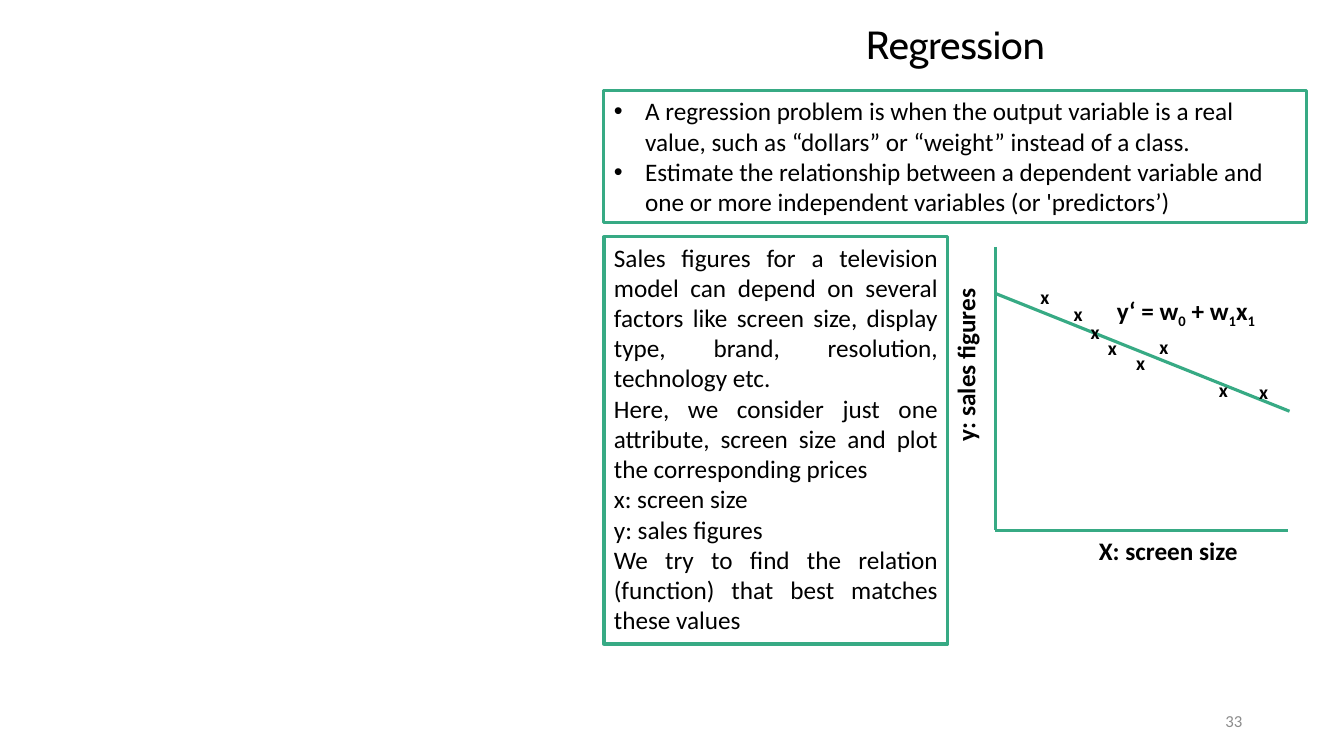
import dataclasses

import pptx
import pptx.dml.color
import pptx.enum.shapes
import pptx.enum.text
import pptx.oxml.xmlchemy
import pptx.util
from pptx.oxml.ns import qn

Inches = pptx.util.Inches
Align = pptx.enum.text.PP_ALIGN
Anchor = pptx.enum.text.MSO_ANCHOR


@dataclasses.dataclass(frozen=True)
class Theme:
    """Colours, fonts and sizes of the slide."""
    accent: str = "37AA84"
    ink: str = "000000"
    muted: str = "8C8C8C"
    heading_font: str = "Cabin"
    body_font: str = "Calibri"
    heading: int = 28
    body: int = 18
    mark: int = 14
    footer: int = 12
    line: float = 2.25


THEME = Theme()

BULLETS = [
    "A regression problem is when the output variable is a real value, such as “dollars” or “weight” instead of a class.",
    "Estimate the relationship between a dependent variable and one or more independent variables (or 'predictors’)",
]
EXAMPLE = [
    ("Sales figures for a television model can depend on several factors like screen size, "
     "display type, brand, resolution, technology etc. ", Align.JUSTIFY),
    ("Here, we consider just one attribute, screen size and plot the corresponding prices ", Align.JUSTIFY),
    ("x: screen size", Align.LEFT),
    ("y: sales figures", Align.LEFT),
    ("We try to find the relation (function) that best matches these values", Align.JUSTIFY),
]
FORMULA = [("y‘ = w", False), ("0", True), (" + w", False), ("1", True), ("x", False), ("1", True)]
MARKS = [(0.35, 0.33), (0.68, 0.5), (0.85, 0.67), (1.02, 0.83),
         (1.53, 0.82), (1.3, 0.98), (2.12, 1.25), (2.52, 1.27)]


def place(shape, box):
    """Move and size a shape to a box given in inches."""
    shape.left, shape.top, shape.width, shape.height = (Inches(value) for value in box)


def add_span(para, text, size=THEME.body, font=THEME.body_font, colour=THEME.ink, bold=False):
    """Add one formatted run to a paragraph."""
    span = para.add_run()
    span.text = text
    span.font.size = pptx.util.Pt(size)
    span.font.name = font
    span.font.bold = bold
    span.font.color.rgb = pptx.dml.color.RGBColor.from_string(colour)
    return span


def next_para(frame, index):
    """Return the first paragraph of a frame, or a new one after it."""
    return frame.add_paragraph() if index else frame.paragraphs[0]


def indent(para, left, first=0):
    """Set the left and first-line indents of a paragraph."""
    properties = para._p.get_or_add_pPr()
    properties.set("marL", str(Inches(left)))
    properties.set("indent", str(Inches(first)))
    return properties


def add_label(page, box):
    """Add a wrapping text box and return it."""
    label = page.shapes.add_textbox(*(Inches(value) for value in box))
    label.text_frame.word_wrap = True
    return label


def add_line(page, start, end):
    """Draw a straight accent line between two points."""
    line = page.shapes.add_connector(
        pptx.enum.shapes.MSO_CONNECTOR.STRAIGHT, *(Inches(value) for value in start + end))
    line.line.color.rgb = pptx.dml.color.RGBColor.from_string(THEME.accent)
    line.line.width = pptx.util.Pt(THEME.line)
    line._element.spPr.append(line._element.makeelement(qn("a:effectLst"), {}))


def add_panel(page, box):
    """Add an outlined rectangle and return its text frame."""
    panel = page.shapes.add_shape(
        pptx.enum.shapes.MSO_SHAPE.RECTANGLE, *(Inches(value) for value in box))
    panel.shadow.inherit = False
    panel.fill.background()
    panel.line.color.rgb = pptx.dml.color.RGBColor.from_string(THEME.accent)
    panel.line.width = pptx.util.Pt(THEME.line)
    frame = panel.text_frame
    frame.word_wrap = True
    frame.vertical_anchor = Anchor.TOP
    return frame


def build_title(page, box):
    """Write the heading in the title placeholder."""
    title = page.shapes.title
    place(title, box)
    frame = title.text_frame
    frame.vertical_anchor = Anchor.MIDDLE
    para = frame.paragraphs[0]
    para.alignment = Align.CENTER
    para.line_spacing = 0.9
    add_span(para, "Regression", THEME.heading, THEME.heading_font)


def build_definition(page, box):
    """Write the bulleted definition panel."""
    frame = add_panel(page, box)
    for index, text in enumerate(BULLETS):
        para = next_para(frame, index)
        para.alignment = Align.LEFT
        properties = indent(para, 0.31, -0.31)
        for tag, key, value in (("a:buFont", "typeface", "Arial"), ("a:buChar", "char", "•")):
            properties.append(properties.makeelement(qn(tag), {key: value}))
        add_span(para, text)


def build_example(page, box):
    """Write the worked example panel."""
    frame = add_panel(page, box)
    for index, (text, alignment) in enumerate(EXAMPLE):
        para = next_para(frame, index)
        para.alignment = alignment
        add_span(para, text)


def build_plot(page, box):
    """Draw the axes, fitted line, labels and data marks."""
    left, top, width, height = box
    origin = (left, top + height)
    add_line(page, (left, top), origin)
    add_line(page, origin, (left + width, top + height))
    add_line(page, (left, top + 0.46), (left + 2.92, top + 1.63))

    y_label = add_label(page, (left - 1.69, top + 1.1, 2.79, 0.4))
    y_label.rotation = 270
    x_label = add_label(page, (left + 0.09, top + height, 2.84, 0.4))
    for label, text, inset in ((y_label, "y: sales figures", 0.67), (x_label, "X: screen size", 0.84)):
        para = label.text_frame.paragraphs[0]
        indent(para, inset)
        add_span(para, text, bold=True)

    formula = add_label(page, (left + 1.11, top + 0.43, 2.84, 0.4))
    for text, subscript in FORMULA:
        span = add_span(formula.text_frame.paragraphs[0], text, bold=True)
        if subscript:
            span.font._element.set("baseline", "-25000")

    for across, down in MARKS:
        mark = add_label(page, (left + across, top + down, 0.23, 0.34))
        add_span(mark.text_frame.paragraphs[0], "x", THEME.mark, bold=True)


def build_page_number(page, box):
    """Write the page number at the foot."""
    frame = add_label(page, box).text_frame
    frame.vertical_anchor = Anchor.MIDDLE
    para = frame.paragraphs[0]
    para.alignment = Align.RIGHT
    add_span(para, "33", THEME.footer, colour=THEME.muted)


def main():
    """Build and save the deck."""
    deck = pptx.Presentation()
    deck.slide_width, deck.slide_height = Inches(13.33), Inches(7.5)
    page = deck.slides.add_slide(deck.slide_layouts[5])
    build_title(page, (5.99, 0.16, 6.97, 0.61))
    build_definition(page, (5.99, 0.9, 6.97, 1.31))
    build_example(page, (5.99, 2.35, 3.41, 4.04))
    build_plot(page, (9.87, 2.45, 2.9, 2.81))
    build_page_number(page, (9.42, 6.95, 3, 0.4))
    deck.save("out.pptx")


if __name__ == "__main__":
    main()
